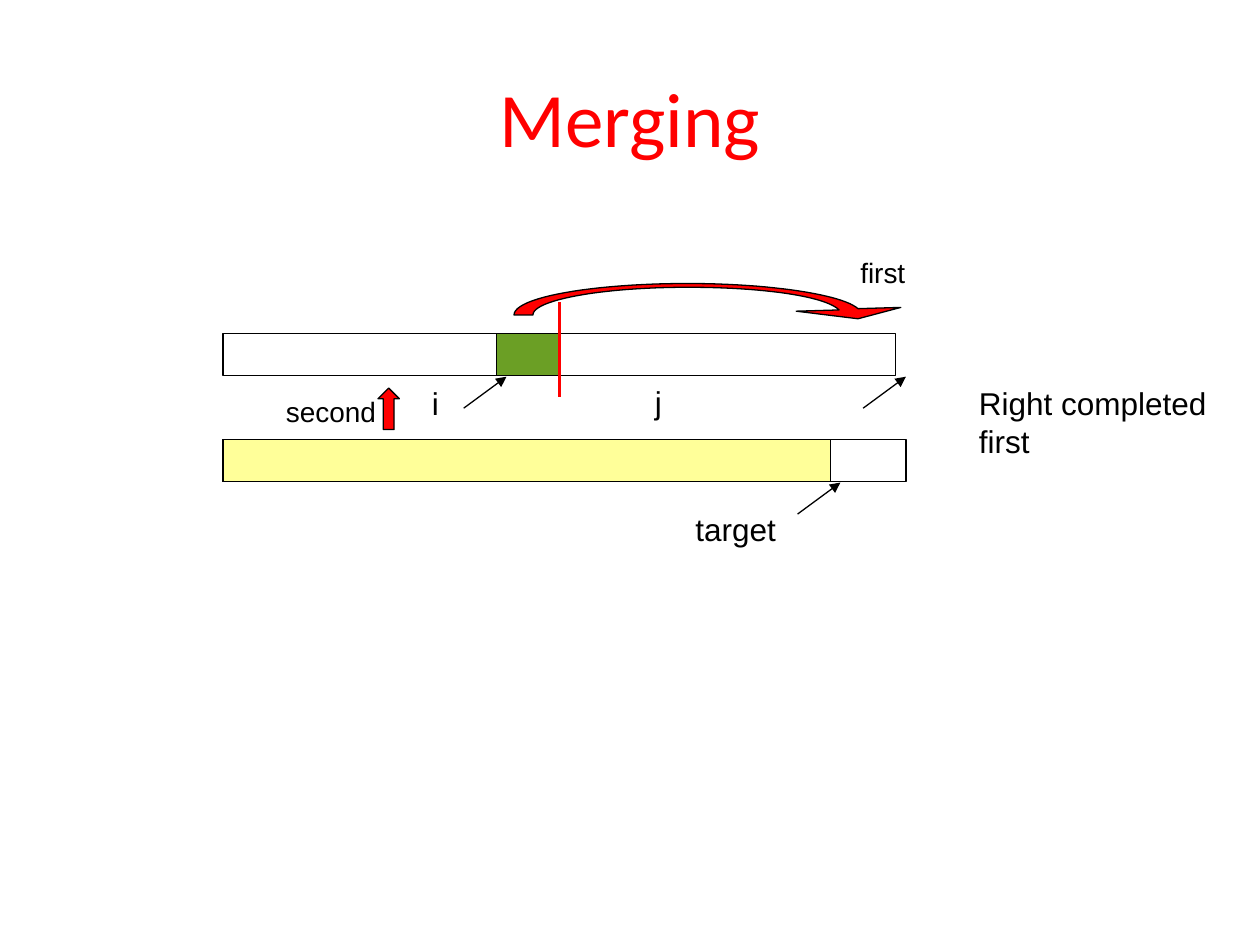
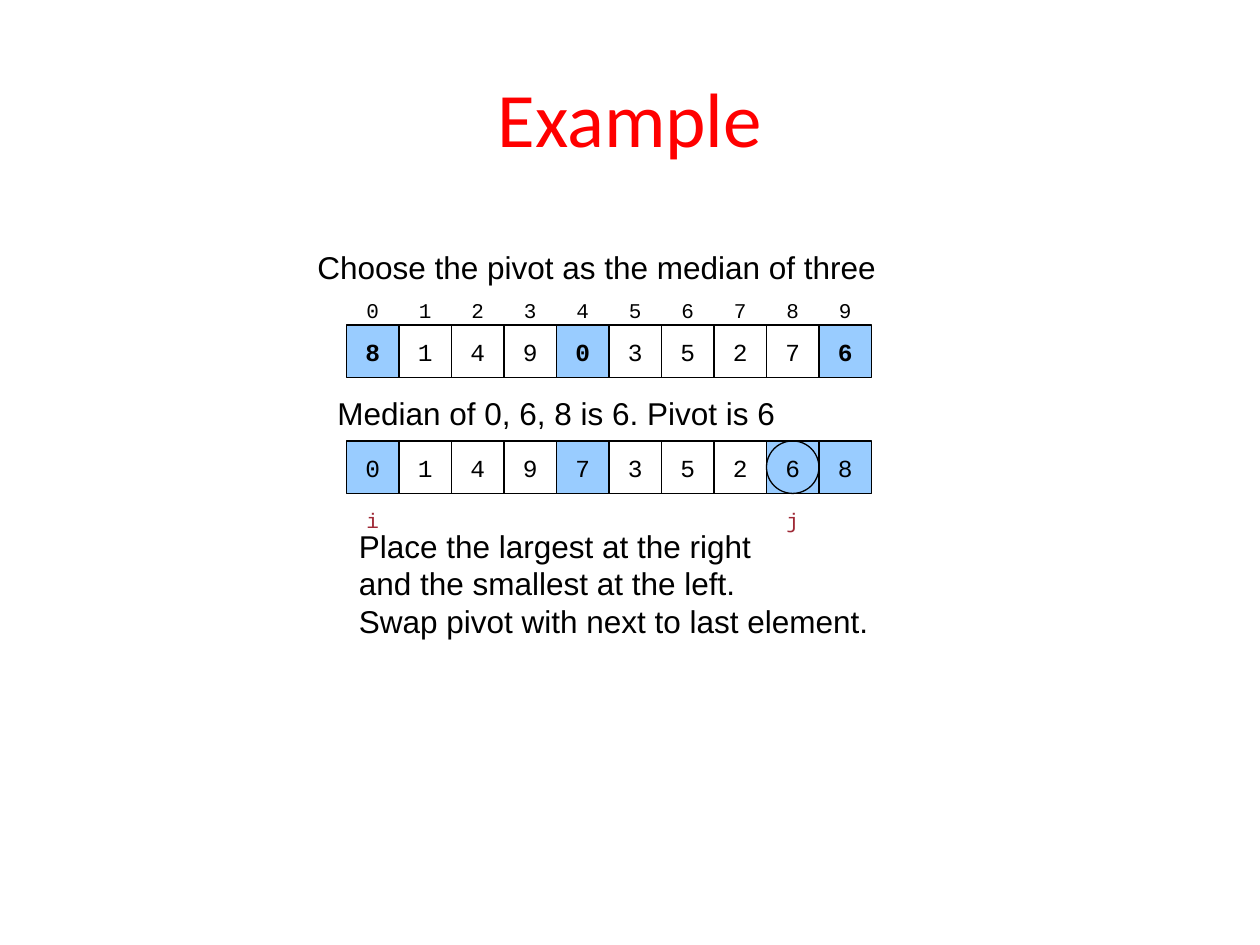
from lxml import etree
from pptx import Presentation
from pptx.dml.color import RGBColor
from pptx.enum.shapes import MSO_CONNECTOR, MSO_SHAPE
from pptx.enum.text import MSO_ANCHOR, MSO_AUTO_SIZE, PP_ALIGN
from pptx.oxml.ns import qn
from pptx.util import Inches, Pt

RECTANGLE = MSO_SHAPE.RECTANGLE
OVAL = MSO_SHAPE.OVAL
UP_ARROW = MSO_SHAPE.UP_ARROW
STRAIGHT = MSO_CONNECTOR.STRAIGHT
CENTER = PP_ALIGN.CENTER
MIDDLE = MSO_ANCHOR.MIDDLE
GROW = MSO_AUTO_SIZE.SHAPE_TO_FIT_TEXT

RED = RGBColor(0xFF, 0x00, 0x00)
BLACK = RGBColor(0x00, 0x00, 0x00)
GREEN = RGBColor(0x6B, 0x9F, 0x25)
YELLOW = RGBColor(0xFF, 0xFF, 0x99)
BLUE = RGBColor(0x99, 0xCC, 0xFF)
DARK_RED = RGBColor(0x9F, 0x29, 0x36)

TITLE_FONT = "Calibri"
LABEL_FONT = "Arial"
CELL_FONT = "Courier New"

# Merge diagram
BAR_LEFT = 1.77
BAR_HEIGHT = 0.33
SOURCE_TOP = 2.65
TARGET_TOP = 3.49
HALF_WIDTH = 2.67

# Array cells
CELL = 5 / 12
ARRAY_LEFT = 2.75


def add_run(paragraph, text, font, size, color=BLACK, bold=False):
    run = paragraph.add_run()
    run.text = text
    run.font.name = font
    run.font.size = Pt(size)
    run.font.color.rgb = color
    run.font.bold = bold


def add_title(slide, text):
    box = slide.shapes.add_textbox(Inches(0.5), Inches(0.3), Inches(9), Inches(1.25))
    frame = box.text_frame
    frame.word_wrap = True
    frame.vertical_anchor = MIDDLE
    frame.paragraphs[0].alignment = CENTER
    add_run(frame.paragraphs[0], text, TITLE_FONT, 44, RED)


def add_label(slide, left, top, width, height, paragraphs, size=18):
    """Each paragraph is a list of lines parted by line breaks."""
    box = slide.shapes.add_textbox(Inches(left), Inches(top), Inches(width), Inches(height))
    frame = box.text_frame
    frame.word_wrap = False
    frame.auto_size = GROW
    for number, lines in enumerate(paragraphs):
        paragraph = frame.add_paragraph() if number else frame.paragraphs[0]
        for line_number, line in enumerate(lines):
            if line_number:
                paragraph.add_line_break()
            add_run(paragraph, line, LABEL_FONT, size)


def style_shape(shape, fill=None):
    shape.shadow.inherit = False
    if fill is None:
        shape.fill.background()
    else:
        shape.fill.solid()
        shape.fill.fore_color.rgb = fill
    shape.line.color.rgb = BLACK
    shape.line.width = Pt(0.75)


def add_figure(slide, kind, left, top, width, height, fill=None):
    shape = slide.shapes.add_shape(
        kind, Inches(left), Inches(top), Inches(width), Inches(height))
    style_shape(shape, fill)
    return shape


def add_line(slide, start, end, color=BLACK, width=0.75, arrow=False):
    line = slide.shapes.add_connector(
        STRAIGHT, *(Inches(value) for value in (*start, *end)))
    line.line.color.rgb = color
    line.line.width = Pt(width)
    properties = line._element.spPr
    if arrow:
        outline = properties.find(qn("a:ln"))
        etree.SubElement(outline, qn("a:tailEnd"), type="triangle")
    etree.SubElement(properties, qn("a:effectLst"))


def curve_points(start, control_1, control_2, end, steps=24):
    """Points along a cubic curve, without its start."""
    points = []
    for step in range(1, steps + 1):
        t = step / steps
        weights = ((1 - t) ** 3, 3 * t * (1 - t) ** 2, 3 * t ** 2 * (1 - t), t ** 3)
        corners = (start, control_1, control_2, end)
        points.append(tuple(
            sum(weight * corner[axis] for weight, corner in zip(weights, corners))
            for axis in (0, 1)))
    return points


def add_curved_arrow(slide):
    points = [(6.66, 2.46)]
    points += curve_points(points[0], (6.55, 2.35), (6.05, 2.28), (5.46, 2.28))
    points += curve_points((5.46, 2.28), (4.78, 2.28), (4.23, 2.38), (4.23, 2.5))
    points.append((4.08, 2.5))
    points += curve_points((4.08, 2.5), (4.08, 2.36), (4.7, 2.25), (5.46, 2.25))
    points += curve_points((5.46, 2.25), (6.12, 2.25), (6.69, 2.34), (6.81, 2.45))
    points += [(7.15, 2.44), (6.81, 2.53), (6.32, 2.47)]
    outline = [(Inches(x), Inches(y)) for x, y in points]
    builder = slide.shapes.build_freeform(*outline[0])
    builder.add_line_segments(outline[1:], close=True)
    style_shape(builder.convert_to_shape(), RED)


def write_centered(shape, text, size, color=BLACK, bold=False):
    frame = shape.text_frame
    frame.word_wrap = False
    frame.vertical_anchor = MIDDLE
    frame.paragraphs[0].alignment = CENTER
    add_run(frame.paragraphs[0], text, CELL_FONT, size, color, bold)


def cell_left(index):
    return ARRAY_LEFT + index * CELL


def add_array(slide, top, values, highlighted, bold_highlight=False):
    for index, value in enumerate(values):
        marked = index in highlighted
        cell = add_figure(slide, RECTANGLE, cell_left(index), top, CELL, CELL,
                          BLUE if marked else None)
        write_centered(cell, value, 14, bold=marked and bold_highlight)


def add_cell_caption(slide, index, top, text, color=BLACK):
    box = slide.shapes.add_textbox(
        Inches(cell_left(index)), Inches(top), Inches(CELL), Inches(CELL))
    write_centered(box, text, 12, color)


def build_merging(slide):
    add_title(slide, "Merging")
    middle = BAR_LEFT + HALF_WIDTH

    # Source halves, target bar and their filled parts
    for left, top, width, fill in (
            (BAR_LEFT, SOURCE_TOP, HALF_WIDTH, None),
            (middle, SOURCE_TOP, HALF_WIDTH, None),
            (BAR_LEFT, TARGET_TOP, 5.42, None),
            (middle - 0.5, SOURCE_TOP, 0.5, GREEN),
            (BAR_LEFT, TARGET_TOP, 4.82, YELLOW)):
        add_figure(slide, RECTANGLE, left, top, width, BAR_HEIGHT, fill)
    add_line(slide, (middle, 2.4), (middle, 3.15), RED, 1.5)

    # Index pointers
    for left, top in ((3.68, 2.99), (6.33, 3.83), (6.85, 2.99)):
        add_line(slide, (left, top + 0.25), (left + 0.34, top), arrow=True)
    add_label(slide, 3.33, 3, 0.26, 0.43, [["i"]])
    add_label(slide, 5.1, 2.99, 0.26, 0.43, [["j"]])
    add_label(slide, 5.42, 4, 0.91, 0.43, [["target"]])
    add_label(slide, 7.67, 3, 2.21, 1.1, [["Right completed"], ["first"]])

    # Copy steps
    add_figure(slide, UP_ARROW, 3, 3.08, 0.17, 0.33, RED)
    add_curved_arrow(slide)
    add_label(slide, 6.73, 1.98, 0.56, 0.37, [["first"]], 16)
    add_label(slide, 2.17, 3.08, 0.92, 0.37, [["second"]], 16)


def build_example(slide):
    add_title(slide, "Example")

    # Array before choosing the pivot
    add_array(slide, 2.58, "8149035276", {0, 4, 9}, bold_highlight=True)
    for index in range(10):
        add_cell_caption(slide, index, 2.25, str(index))

    # Array after the swaps, with the pivot circled
    add_array(slide, 3.5, "0149735268", {0, 4, 8, 9})
    add_figure(slide, OVAL, cell_left(8), 3.5, CELL, CELL)
    add_cell_caption(slide, 0, 3.92, "i", DARK_RED)
    add_cell_caption(slide, 8, 3.92, "j", DARK_RED)

    # Explanations
    add_label(slide, 2.75, 4.13, 4.69, 1.0, [
        ["Place the largest at the right", "and the smallest at the left."],
        ["Swap pivot with next to last element."]])
    add_label(slide, 2.58, 3.08, 4.67, 0.43, [["Median of 0, 6, 8 is 6. Pivot is 6"]])
    add_label(slide, 2.42, 1.92, 5.12, 0.43, [["Choose the pivot as the median of three"]])


def main():
    presentation = Presentation()
    presentation.slide_width = Inches(10)
    presentation.slide_height = Inches(7.5)
    blank = presentation.slide_layouts[6]
    for build in (build_merging, build_example):
        build(presentation.slides.add_slide(blank))
    presentation.save("out.pptx")


if __name__ == "__main__":
    main()
